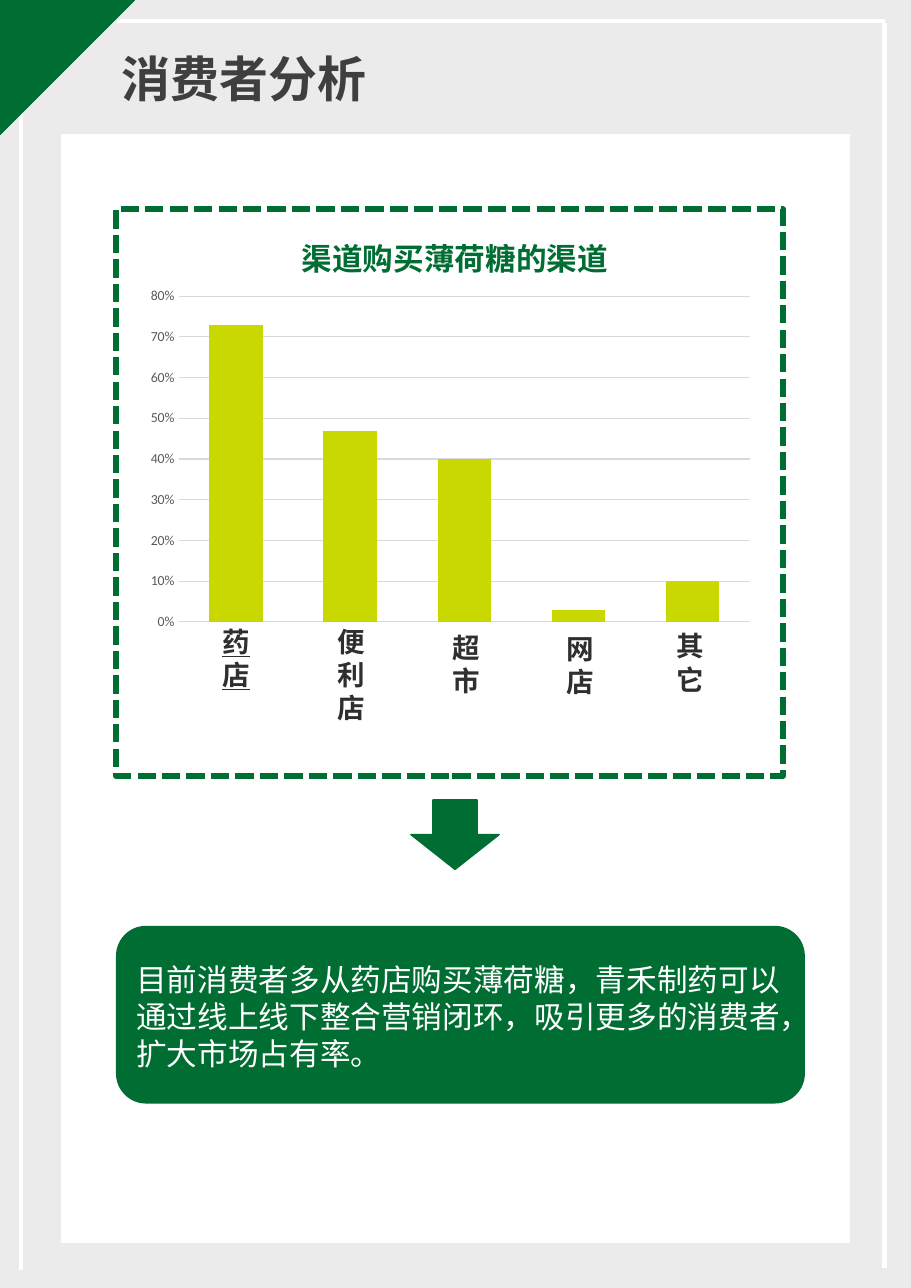
from lxml import etree
from pptx import Presentation
from pptx.chart.data import CategoryChartData
from pptx.dml.color import RGBColor
from pptx.enum.chart import XL_CHART_TYPE, XL_TICK_MARK
from pptx.enum.dml import MSO_LINE
from pptx.enum.shapes import MSO_CONNECTOR, MSO_SHAPE
from pptx.enum.text import MSO_ANCHOR, MSO_AUTO_SIZE, PP_ALIGN
from pptx.oxml.ns import qn
from pptx.util import Pt

COLUMNS = XL_CHART_TYPE.COLUMN_CLUSTERED
NO_TICKS = XL_TICK_MARK.NONE
DASHED = MSO_LINE.SQUARE_DOT
STRAIGHT = MSO_CONNECTOR.STRAIGHT
TOP, MIDDLE = MSO_ANCHOR.TOP, MSO_ANCHOR.MIDDLE
LEFT = PP_ALIGN.LEFT

# Content
HEADING = "消费者分析"
CHART_HEADING = "渠道购买薄荷糖的渠道"
CONCLUSION = ("目前消费者多从药店购买薄荷糖，青禾制药可以通过线上线下整合营销闭环，"
              "吸引更多的消费者，扩大市场占有率。")
# channel, share, label box (left, top, width, height), underlined
CHANNELS = [
    ("药店", 0.73, (138.2, 403.2, 33.8, 73.4), True),
    ("便利店", 0.47, (213.8, 403.2, 43.2, 73.4), False),
    ("超市", 0.4, (288.7, 406.8, 28.8, 51.8), False),
    ("网店", 0.03, (362.9, 407.5, 26.6, 51.8), False),
    ("其它", 0.1, (434.9, 406.1, 41.8, 51.8), False),
]
FRAME_LINES = [
    (76.3, 13.7, 578.2, 13.7),
    (578.2, 15.1, 578.2, 828.7),
    (13.7, 18.7, 13.7, 830.2),
]
PLOT_LAYOUT = {"x": 0.066, "y": 0.04, "w": 0.914, "h": 0.915}

# Style
CJK_FONT = "Noto Sans CJK SC"
GREEN, LIME, WHITE = "006D33", "C8D800", "FFFFFF"
BACKDROP, GRID = "EBEBEB", "D9D9D9"
HEADING_GREY, LABEL_GREY, AXIS_GREY = "3F3F3F", "2F2F2F", "595959"
LINE_HEIGHT = 1.2
TOP_SHIFT = 0.09  # extra top inset, as a share of the text size


def color(value):
    return RGBColor.from_string(value)


def points(*lengths):
    return [Pt(length) for length in lengths]


def write(shape, text, size, ink, bold=True, underline=False, anchor=TOP):
    frame = shape.text_frame
    frame.text = text
    frame.word_wrap = True
    frame.auto_size = MSO_AUTO_SIZE.NONE
    frame.vertical_anchor = anchor
    frame.margin_left = frame.margin_right = Pt(7.2)
    frame.margin_top, frame.margin_bottom = points(3.6 + TOP_SHIFT * size, 3.6)
    paragraph = frame.paragraphs[0]
    paragraph.alignment = LEFT
    paragraph.line_spacing = Pt(LINE_HEIGHT * size)
    font = paragraph.runs[0].font
    font.name, font.size, font.bold = CJK_FONT, Pt(size), bold
    font.underline = underline
    font.color.rgb = color(ink)
    latin = font._element.find(qn("a:latin"))
    east_asian = etree.Element(qn("a:ea"), typeface=CJK_FONT)
    latin.addnext(east_asian)


def add_panel(kind, box, fill, outline, weight=1):
    panel = slide.shapes.add_shape(kind, *points(*box))
    panel.shadow.inherit = False
    panel.fill.solid()
    panel.fill.fore_color.rgb = color(fill)
    panel.line.color.rgb = color(outline)
    panel.line.width = Pt(weight)
    return panel


deck = Presentation()
deck.slide_width, deck.slide_height = points(595.4, 841.7)
slide = deck.slides.add_slide(deck.slide_layouts[5])
slide.background.fill.solid()
slide.background.fill.fore_color.rgb = color(BACKDROP)

# White frame lines
for ends in FRAME_LINES:
    edge = slide.shapes.add_connector(STRAIGHT, *points(*ends))
    edge.line.color.rgb = color(WHITE)
    edge.line.width = Pt(3)
    etree.SubElement(edge._element.spPr, qn("a:effectLst"))

# Corner, page card and heading
corner = add_panel(MSO_SHAPE.RIGHT_TRIANGLE, (0, 0, 87.8, 87.8), GREEN, GREEN)
corner.rotation = 90
add_panel(MSO_SHAPE.RECTANGLE, (40.3, 87.8, 514.8, 724.3), WHITE, WHITE)
heading = slide.shapes.title
heading.left, heading.top, heading.width, heading.height = points(72, 25.2, 274.3, 48.2)
write(heading, HEADING, 32, HEADING_GREY)

# Dashed chart frame
chart_frame = add_panel(MSO_SHAPE.RECTANGLE, (75.6, 136.8, 436.3, 370.1), WHITE, GREEN, 4)
chart_frame.line.dash_style = DASHED

# Column chart of channel shares
shares = CategoryChartData(number_format="0%")
shares.categories = [str(number) for number in range(1, len(CHANNELS) + 1)]
shares.add_series("Series 1", [share for _, share, _, _ in CHANNELS])
chart = slide.shapes.add_chart(COLUMNS, *points(90, 184.3, 408.2, 232.6), shares).chart
chart.has_legend = chart.has_title = False
chart.font.name, chart.font.size = "Arial", Pt(10)
chart.font.color.rgb = color(WHITE)
columns = chart.plots[0]
columns.vary_by_categories = False
columns.gap_width, columns.overlap = 114, -17
bars = columns.series[0].format
bars.fill.solid()
bars.fill.fore_color.rgb = color(LIME)
bars.line.fill.background()

chart.category_axis.visible = False
axis = chart.value_axis
axis.minimum_scale, axis.maximum_scale, axis.major_unit = 0, 0.8, 0.1
axis.major_tick_mark = axis.minor_tick_mark = NO_TICKS
axis.format.line.fill.background()
axis.major_gridlines.format.line.color.rgb = color(GRID)
axis.major_gridlines.format.line.width = Pt(0.75)
axis.tick_labels.number_format = "0%"
axis.tick_labels.number_format_is_linked = False
tick_font = axis.tick_labels.font
tick_font.name, tick_font.size = "Calibri", Pt(9)
tick_font.color.rgb = color(AXIS_GREY)

# Fixed inner plot area
plot_area = chart._chartSpace.find(".//" + qn("c:plotArea"))
for automatic in plot_area.findall(qn("c:layout")):
    plot_area.remove(automatic)
layout = etree.Element(qn("c:layout"))
plot_area.insert(0, layout)
manual = etree.SubElement(layout, qn("c:manualLayout"))
settings = {"layoutTarget": "inner", "xMode": "edge", "yMode": "edge", **PLOT_LAYOUT}
for tag, value in settings.items():
    etree.SubElement(manual, qn("c:" + tag), val=str(value))

# Chart heading and channel labels
chart_heading = slide.shapes.add_textbox(*points(190.1, 151.2, 320, 33.1))
write(chart_heading, CHART_HEADING, 20, GREEN)
for channel, _, box, underlined in CHANNELS:
    label = slide.shapes.add_textbox(*points(*box))
    write(label, channel, 18, LABEL_GREY, underline=underlined)

# Arrow and conclusion
add_panel(MSO_SHAPE.DOWN_ARROW, (268.6, 522.7, 57.6, 45.4), GREEN, GREEN)
conclusion = add_panel(MSO_SHAPE.ROUNDED_RECTANGLE, (76.3, 605.5, 449.3, 115.2), GREEN, GREEN)
write(conclusion, CONCLUSION, 20, WHITE, bold=False, anchor=MIDDLE)

deck.save("out.pptx")
